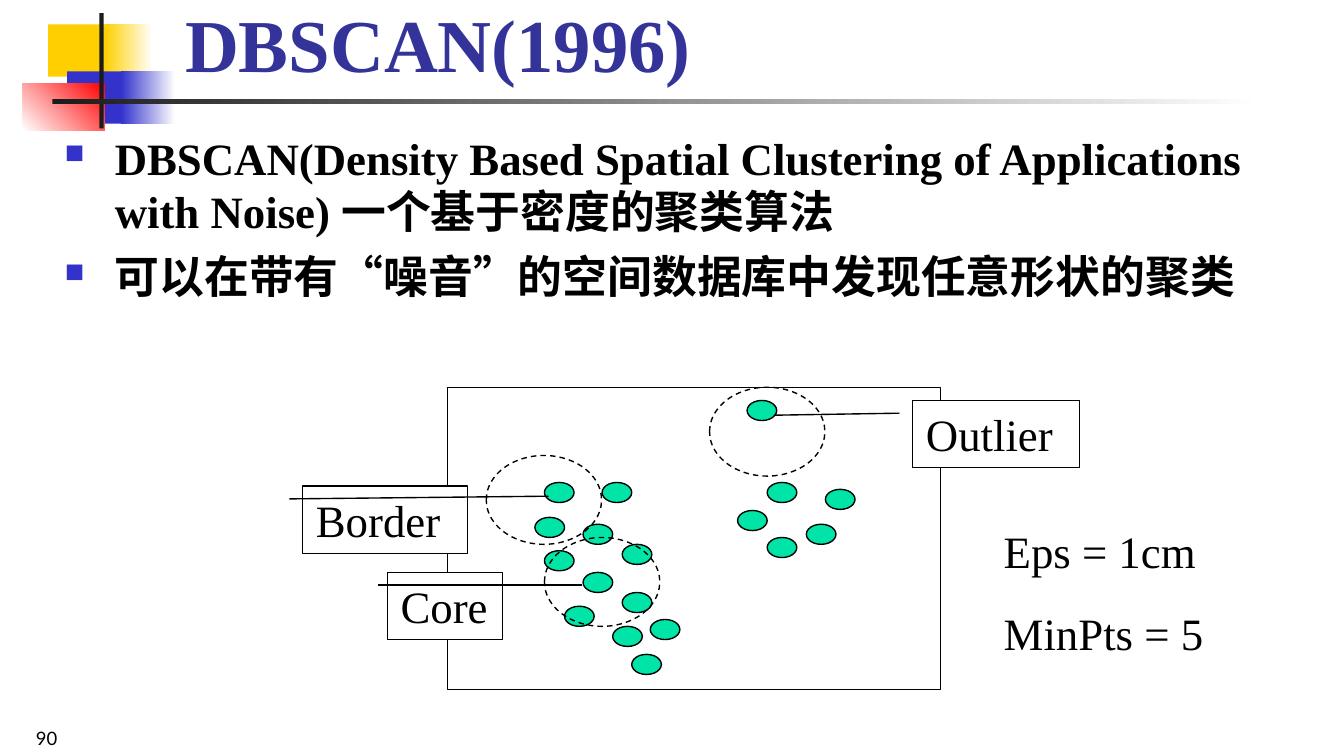
from dataclasses import dataclass

from lxml.etree import SubElement
from pptx import Presentation
from pptx.dml.color import RGBColor
from pptx.enum.dml import MSO_LINE
from pptx.enum.shapes import MSO_SHAPE
from pptx.enum.text import MSO_ANCHOR, PP_ALIGN
from pptx.oxml.ns import qn
from pptx.util import Cm, Pt


@dataclass(frozen=True)
class Theme:
    gold: str = "FFCF01"
    blue: str = "3333CC"
    red: str = "FF0000"
    dark: str = "1C1C1C"
    navy: str = "333399"
    mint: str = "00E4A8"
    black: str = "000000"
    white: str = "FFFFFF"
    serif: str = "Times New Roman"
    sans: str = "Lato"
    head: float = 40
    body: float = 24
    foot: float = 9.9
    line: float = 0.75


T = Theme()

# Left, top, width, height, first colour, last colour, angle (cm, degrees)
DECOR = [
    (0.91, 0.46, 1.22, 0.99, T.gold, None, 0),
    (1.98, 0.46, 0.91, 0.99, T.gold, T.white, 0),
    (1.27, 1.35, 1.17, 0.99, T.blue, None, 0),
    (2.29, 1.35, 1.02, 0.99, T.blue, T.white, 0),
    (0.43, 1.57, 1.55, 0.89, T.white, T.red, 45),
    (1.88, 0.25, 0.08, 2.18, T.dark, None, 0),
    (0.99, 1.88, 22.86, 0.08, T.dark, T.white, 0),
]

# Left and top of each data point
DOTS = [
    (10.29, 9.12), (10.11, 9.78), (11.02, 9.91), (11.38, 9.12),
    (11.76, 10.29), (10.29, 10.41), (11.02, 10.82), (10.67, 11.46),
    (11.58, 11.84), (11.94, 12.37), (11.76, 11.2), (12.29, 11.71),
    (14.12, 7.57), (14.5, 9.12), (13.94, 9.65), (15.24, 9.91),
    (15.6, 9.25), (14.5, 10.16),
]
RINGS = [(9.19, 8.61), (10.29, 10.16), (13.41, 7.32)]

# Word, left, top, width, pointer end as shares of height and width
CALLS = [
    ("Core", 7.32, 10.82, 2.18, 0.19, 1.69),
    ("Border", 5.72, 9.19, 3.12, 0.15, 1.49),
    ("Outlier", 17.25, 7.57, 3.15, 0.22, -0.83),
]

BODY = [
    "DBSCAN(Density Based Spatial Clustering of Applications with Noise) "
    "一个基于密度的聚类算法",
    "可以在带有“噪音”的空间数据库中发现任意形状的聚类",
]


def rgb(tone):
    return RGBColor.from_string(tone)


def apply(item, form):
    for name, value in form.items():
        setattr(item, name, value)


def add_form(slide, kind, box, fill=None, last=None, angle=0, edge=None, dash=None):
    """Add a preset shape with a plain, graded or empty fill."""
    form = slide.shapes.add_shape(kind, *map(Cm, box))
    form.shadow.inherit = False
    if fill and last:
        form.fill.gradient()
        form.fill.gradient_angle = angle
        for stop, tone in zip(form.fill.gradient_stops, (fill, last)):
            stop.color.rgb = rgb(tone)
    elif fill:
        form.fill.solid()
        form.fill.fore_color.rgb = rgb(fill)
    else:
        form.fill.background()
    if edge:
        form.line.color.rgb = rgb(edge)
        apply(form.line, {"width": Pt(T.line), "dash_style": dash})
    else:
        form.line.fill.background()
    return form


def add_mark(para):
    """Give a paragraph a square bullet with a hanging indent."""
    props = para._p.get_or_add_pPr()
    props.set("marL", str(Cm(0.95)))
    props.set("indent", str(-Cm(0.95)))
    tone = SubElement(props, qn("a:buClr"))
    SubElement(tone, qn("a:srgbClr"), val=T.blue)
    SubElement(props, qn("a:buSzPct"), val="60000")
    SubElement(props, qn("a:buChar"), char="■")


def fill_text(form, lines, size=T.body, face=T.serif, tone=T.black, bold=False,
              anchor=MSO_ANCHOR.TOP, gap=0, mark=False, pitch=None):
    frame = form.text_frame
    apply(frame, {"word_wrap": True, "vertical_anchor": anchor})
    for i, line in enumerate(lines):
        para = frame.add_paragraph() if i else frame.paragraphs[0]
        para.text = line
        if mark:
            add_mark(para)
        apply(para, {"alignment": PP_ALIGN.LEFT, "line_spacing": pitch,
                     "space_before": Pt(gap) if i else None})
        apply(para.font, {"size": Pt(size), "name": face, "bold": bold})
        para.font.color.rgb = rgb(tone)


def add_text(slide, box, lines, **form):
    fill_text(slide.shapes.add_textbox(*map(Cm, box)), lines, **form)


def add_call(slide, word, left, top, width, down, side):
    """Add a boxed label with a pointer line."""
    form = add_form(slide, MSO_SHAPE.LINE_CALLOUT_1, (left, top, width, 1.27),
                    T.white, edge=T.black)
    for i, share in enumerate((0.19, -0.08, down, side)):
        form.adjustments[i] = share
    fill_text(form, [word])


def main():
    deck = Presentation()
    apply(deck, {"slide_width": Cm(25.4), "slide_height": Cm(14.29)})
    slide = deck.slides.add_slide(deck.slide_layouts[6])

    # Corner blocks and rules
    for *box, fill, last, angle in DECOR:
        add_form(slide, MSO_SHAPE.RECTANGLE, box, fill, last, angle)

    # Title and bullets
    add_text(slide, (3.25, 0.53, 21.39, 1.24), ["DBSCAN(1996)"], size=T.head,
             tone=T.navy, bold=True, anchor=MSO_ANCHOR.BOTTOM)
    add_text(slide, (0.97, 2.34, 23.24, 4.47), BODY, bold=True, gap=6, mark=True)

    # Points, frame and neighbourhoods
    for spot in DOTS:
        add_form(slide, MSO_SHAPE.OVAL, (*spot, 0.56, 0.38), T.mint, edge=T.black)
    add_form(slide, MSO_SHAPE.RECTANGLE, (8.46, 7.32, 9.32, 5.72), edge=T.black)
    for spot in RINGS:
        add_form(slide, MSO_SHAPE.OVAL, (*spot, 2.18, 1.68), edge=T.black,
                 dash=MSO_LINE.DASH)

    # Labels and settings
    for call in CALLS:
        add_call(slide, *call)
    add_text(slide, (18.72, 9.78, 4.57, 2.82), ["Eps = 1cm", "MinPts = 5"], gap=15)

    # Page number
    add_text(slide, (0.43, 13.49, 6.99, 0.79), ["90"], size=T.foot, face=T.sans,
             anchor=MSO_ANCHOR.BOTTOM, pitch=0.8)

    deck.save("out.pptx")


if __name__ == "__main__":
    main()
